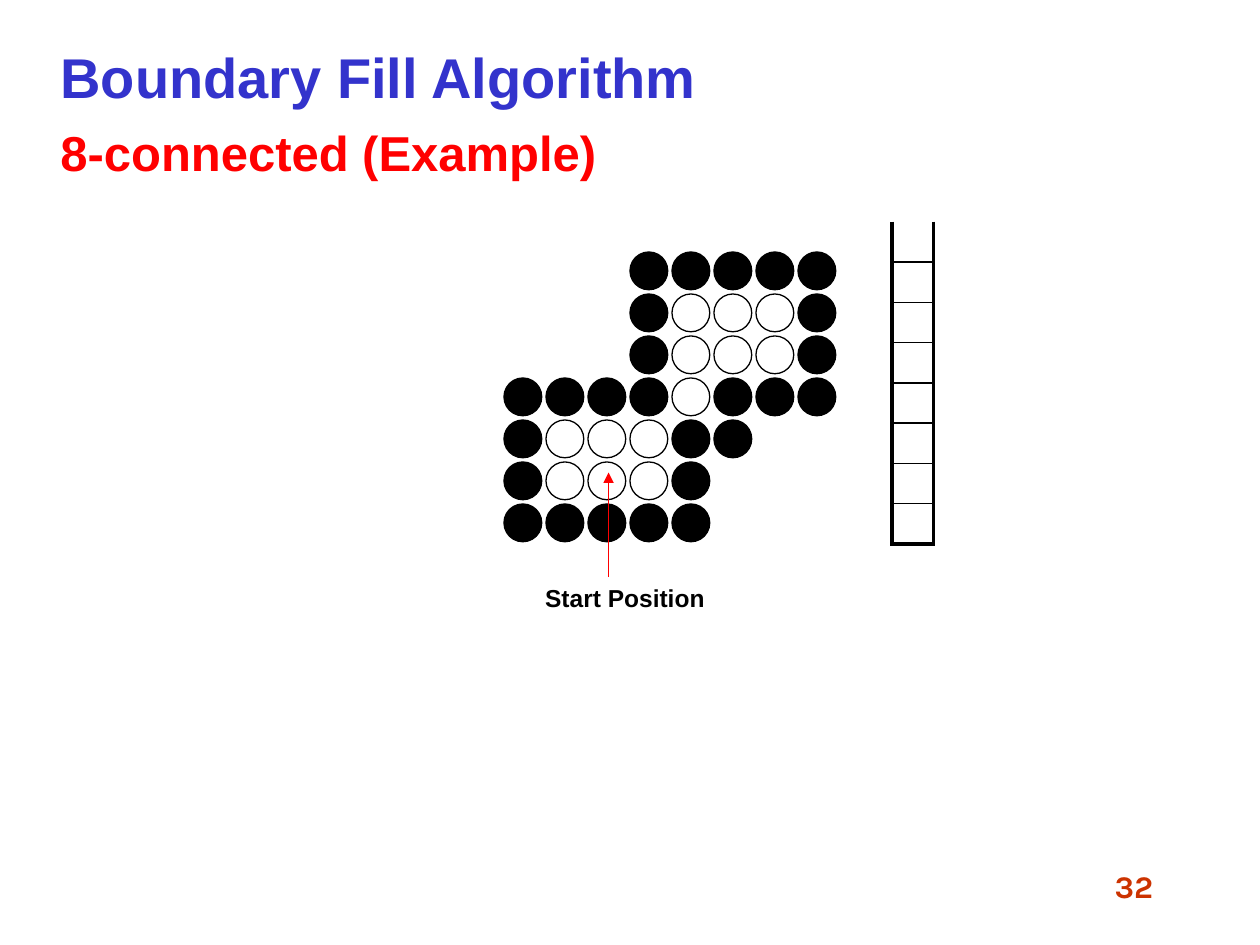
import pptx
import pptx.util
import pptx.dml.color
import pptx.enum.shapes
import pptx.enum.text
import pptx.oxml
import pptx.oxml.ns
from pptx.util import Inches

COLORS = {"title": "3333CC", "accent": "FF0000", "ink": "000000", "number": "CC3300"}
GRID = [
    "   #####",
    "   #ooo#",
    "   #ooo#",
    "####o###",
    "#ooo##",
    "#ooo#",
    "#####",
]
PITCH = 1 / 3
DOT = 0.3
STACK_ROWS = 8
STACK_ROW_HEIGHT = 0.32


def rgb(name):
    return pptx.dml.color.RGBColor.from_string(COLORS[name])


def element(tag, **attrs):
    el = pptx.oxml.parse_xml(f"<a:{tag} {pptx.oxml.ns.nsdecls('a')}/>")
    for key, value in attrs.items():
        el.set(key, value)
    return el


class SlideBuilder:
    font = {"name": "Arial", "bold": True}
    align = pptx.enum.text.PP_ALIGN

    def __init__(self, prs):
        self.s = prs.slides.add_slide(prs.slide_layouts[5])

    def add_run(self, p, text, color, align, **formats):
        p.alignment = align
        r = p.add_run()
        r.text = text
        for key, value in {**self.font, **formats}.items():
            setattr(r.font, key, value)
        r.font.color.rgb = rgb(color)

    def title(self, x, y, w, h, lines):
        sp = self.s.shapes.title
        for key, value in {"left": x, "top": y, "width": w, "height": h}.items():
            setattr(sp, key, Inches(value))
        tf = sp.text_frame
        tf.auto_size = pptx.enum.text.MSO_AUTO_SIZE.NONE
        tf.vertical_anchor = pptx.enum.text.MSO_ANCHOR.TOP
        for i, (text, size, color) in enumerate(lines):
            p = tf.add_paragraph() if i else tf.paragraphs[0]
            if i:
                p.space_before = pptx.util.Pt(7)
            self.add_run(p, text, color, self.align.LEFT, size=pptx.util.Pt(size))

    def text(self, x, y, w, h, text, size, color, align, **formats):
        sp = self.s.shapes.add_textbox(Inches(x), Inches(y), Inches(w), Inches(h))
        tf = sp.text_frame
        tf.word_wrap = True
        self.add_run(tf.paragraphs[0], text, color, align, size=pptx.util.Pt(size), **formats)

    def dot(self, x, y, filled):
        sp = self.s.shapes.add_shape(
            pptx.enum.shapes.MSO_SHAPE.OVAL, Inches(x), Inches(y), Inches(DOT), Inches(DOT))
        sp.shadow.inherit = False
        if filled:
            sp.fill.solid()
            sp.fill.fore_color.rgb = rgb("ink")
        else:
            sp.fill.background()
        sp.line.color.rgb = rgb("ink")
        sp.line.width = pptx.util.Pt(0.75)

    def arrow(self, x1, y1, x2, y2, color):
        sp = self.s.shapes.add_connector(
            pptx.enum.shapes.MSO_CONNECTOR.STRAIGHT,
            Inches(x1), Inches(y1), Inches(x2), Inches(y2))
        sp.line.color.rgb = rgb(color)
        sp.line.width = pptx.util.Pt(0.75)
        spPr = sp._element.spPr
        spPr.find(pptx.oxml.ns.qn("a:ln")).append(element("tailEnd", type="triangle"))
        spPr.append(element("effectLst"))

    def border(self, cell, widths):
        tcPr = cell._tc.get_or_add_tcPr()
        for i, (side, width) in enumerate(widths.items()):
            ln = element("ln" + side, w=str(pptx.util.Pt(width)))
            if width:
                fill = element("solidFill")
                fill.append(element("srgbClr", val=COLORS["ink"]))
            else:
                fill = element("noFill")
            ln.append(fill)
            tcPr.insert(i, ln)

    def stack(self, x, y, w, rows, row_height):
        table = self.s.shapes.add_table(
            rows, 1, Inches(x), Inches(y), Inches(w), Inches(rows * row_height)).table
        table.first_row = table.horz_banding = False
        for i, row in enumerate(table.rows):
            row.height = Inches(row_height)
            cell = row.cells[0]
            cell.fill.background()
            for side in ("left", "right", "top", "bottom"):
                setattr(cell, "margin_" + side, 0)
            self.border(cell, {"L": 2.25, "R": 2.25, "T": 1 if i else 0,
                               "B": 2.25 if i == rows - 1 else 1})


def main():
    prs = pptx.Presentation()
    prs.slide_width, prs.slide_height = Inches(10), Inches(7.5)
    b = SlideBuilder(prs)
    b.title(0.38, 0.29, 9.25, 1.17, [
        ("Boundary Fill Algorithm", 32, "title"),
        ("8-connected (Example)", 28, "accent"),
    ])
    b.text(7.17, 6.83, 2.08, 0.5, "32", 18, "number", b.align.RIGHT, name="Karla")
    b.stack(7.08, 1.76, 0.33, STACK_ROWS, STACK_ROW_HEIGHT)
    b.text(4.17, 4.58, 1.58, 0.33, "Start Position", 14, "ink", b.align.CENTER)
    for row, marks in enumerate(GRID):
        for col, mark in enumerate(marks):
            if mark != " ":
                b.dot(4 + col * PITCH, 2 + row * PITCH, mark == "#")
    b.arrow(4.83, 4.58, 4.83, 3.75, "accent")
    prs.save("out.pptx")


if __name__ == "__main__":
    main()
